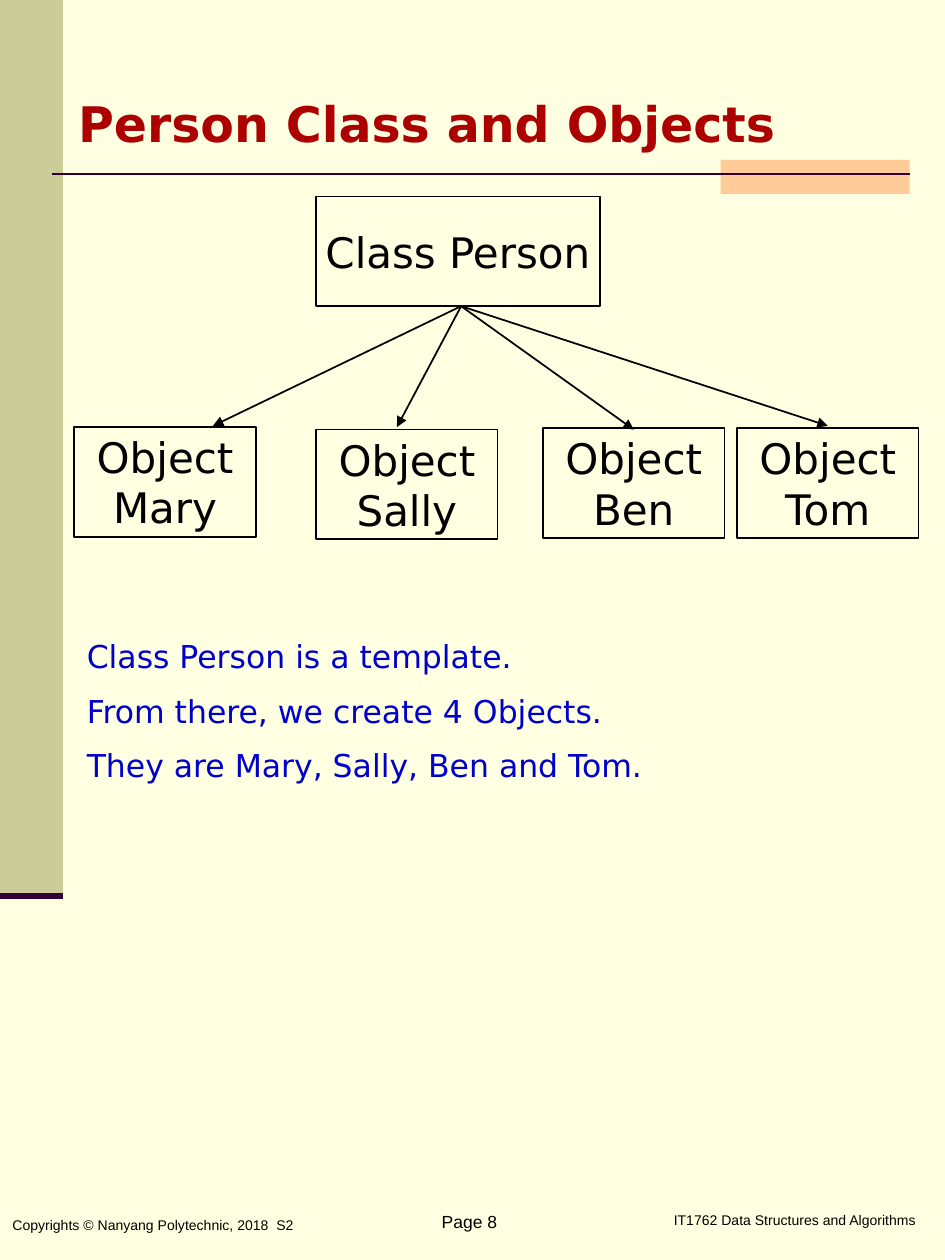
from typing import NamedTuple

from lxml import etree
from pptx import Presentation
from pptx.dml.color import RGBColor
from pptx.enum.shapes import MSO_CONNECTOR, MSO_SHAPE
from pptx.enum.text import MSO_ANCHOR, MSO_AUTO_SIZE, PP_ALIGN
from pptx.oxml.ns import qn
from pptx.util import Inches, Pt

RECT = MSO_SHAPE.RECTANGLE
LINE = MSO_CONNECTOR.STRAIGHT
TOP, MIDDLE = MSO_ANCHOR.TOP, MSO_ANCHOR.MIDDLE
LEFT, CENTER, RIGHT = PP_ALIGN.LEFT, PP_ALIGN.CENTER, PP_ALIGN.RIGHT
NO_FIT = MSO_AUTO_SIZE.NONE

COLORS = {
    "page": "FFFFE1", "band": "CCCC99", "accent": "FFCC99", "rule": "330033",
    "ink": "000000", "note": "0000CC", "title": "AD0000",
}
SANS, ARIAL = "DejaVu Sans", "Arial"


class Box(NamedTuple):
    left: float
    top: float
    width: float
    height: float


class Style(NamedTuple):
    size: float
    font: str = ARIAL
    color: str = "ink"
    bold: bool = False
    align: PP_ALIGN = LEFT
    anchor: MSO_ANCHOR = TOP
    wrap: bool = True
    gap: float = 0


class Node(NamedTuple):
    name: str
    left: float
    top: float
    tip: tuple[float, float]


class Label(NamedTuple):
    text: str
    box: Box
    style: Style


NODE = Style(24, SANS, align=CENTER, anchor=MIDDLE, wrap=False)
TITLE = Style(28, SANS, "title", bold=True)
NOTE = Style(18, SANS, "note", gap=9.5)

ROOT = Box(2.51, 1.56, 2.25, 0.87)
START = (3.66, ROOT.top + ROOT.height)
NODES = [
    Node("Mary", 0.59, 3.39, (1.69, 3.38)),
    Node("Sally", 2.51, 3.41, (3.15, 3.39)),
    Node("Ben", 4.31, 3.4, (5.03, 3.41)),
    Node("Tom", 5.85, 3.4, (6.57, 3.38)),
]
NOTES = [
    "Class Person is a template.",
    "From there, we create 4 Objects.",
    "They are Mary, Sally, Ben and Tom.",
]
FOOTER = [
    Label("Copyrights © Nanyang Polytechnic, 2018  S2",
          Box(0, 9.44, 4.88, 0.56), Style(8, anchor=MIDDLE)),
    Label("Page 8", Box(2.67, 9.56, 2.11, 0.3), Style(10, align=CENTER)),
    Label("IT1762 Data Structures and Algorithms",
          Box(4.3, 9.57, 3.07, 0.23), Style(8, align=RIGHT)),
]


def color(name: str) -> RGBColor:
    return RGBColor.from_string(COLORS[name])


def inches(values: tuple) -> list:
    return [Inches(value) for value in values]


def write(shape, lines: list[str], style: Style) -> None:
    frame = shape.text_frame
    frame.text = "\n".join(lines)
    layout = {"word_wrap": style.wrap, "auto_size": NO_FIT,
              "vertical_anchor": style.anchor}
    for key, value in layout.items():
        setattr(frame, key, value)
    look = {"size": Pt(style.size), "name": style.font, "bold": style.bold}
    for index, para in enumerate(frame.paragraphs):
        para.alignment = style.align
        para.space_before = Pt(style.gap if index else 0)
        for run in para.runs:
            for key, value in look.items():
                setattr(run.font, key, value)
            run.font.color.rgb = color(style.color)


def add_text(slide, lines: list[str], box: Box, style: Style) -> None:
    write(slide.shapes.add_textbox(*inches(box)), lines, style)


def add_block(slide, box: Box, fill: str) -> None:
    shape = slide.shapes.add_shape(RECT, *inches(box))
    shape.shadow.inherit = False
    shape.fill.solid()
    shape.fill.fore_color.rgb = color(fill)
    shape.line.fill.background()


def add_node(slide, lines: list[str], box: Box) -> None:
    shape = slide.shapes.add_shape(RECT, *inches(box))
    shape.shadow.inherit = False
    shape.fill.background()
    shape.line.color.rgb = color("ink")
    shape.line.width = Pt(1)
    write(shape, lines, NODE)


def add_line(slide, start: tuple, end: tuple, tint: str, width: float,
             arrow: bool = False) -> None:
    line = slide.shapes.add_connector(LINE, *inches(start + end))
    line.line.color.rgb = color(tint)
    line.line.width = Pt(width)
    if arrow:
        tail = etree.SubElement(line.line._get_or_add_ln(), qn("a:tailEnd"))
        tail.set("type", "triangle")
    etree.SubElement(line._element.spPr, qn("a:effectLst"))


def main() -> None:
    deck = Presentation()
    deck.slide_width, deck.slide_height = Inches(7.5), Inches(10)
    slide = deck.slides.add_slide(deck.slide_layouts[5])
    slide.background.fill.solid()
    slide.background.fill.fore_color.rgb = color("page")

    # Side band, title rule and accent
    add_block(slide, Box(0, 0, 0.5, 7.11), "band")
    add_block(slide, Box(5.72, 1.27, 1.5, 0.27), "accent")
    add_line(slide, (0.41, 1.38), (7.22, 1.38), "rule", 1.5)
    add_line(slide, (0, 7.11), (0.5, 7.11), "rule", 3.5)

    # Title
    title = slide.shapes.title
    place = dict(zip(Box._fields, inches(Box(0.52, 0.69, 6.5, 0.57))))
    for key, value in place.items():
        setattr(title, key, value)
    write(title, ["Person Class and Objects"], TITLE)

    # Class and its objects
    add_node(slide, ["Class Person"], ROOT)
    for node in NODES:
        box = Box(node.left, node.top, 1.44, ROOT.height)
        add_node(slide, ["Object", node.name], box)
        add_line(slide, START, node.tip, "ink", 1, arrow=True)

    # Notes and footer
    add_text(slide, NOTES, Box(0.59, 5.01, 4.71, 1.31), NOTE)
    for label in FOOTER:
        add_text(slide, [label.text], label.box, label.style)

    deck.save("out.pptx")


if __name__ == "__main__":
    main()
